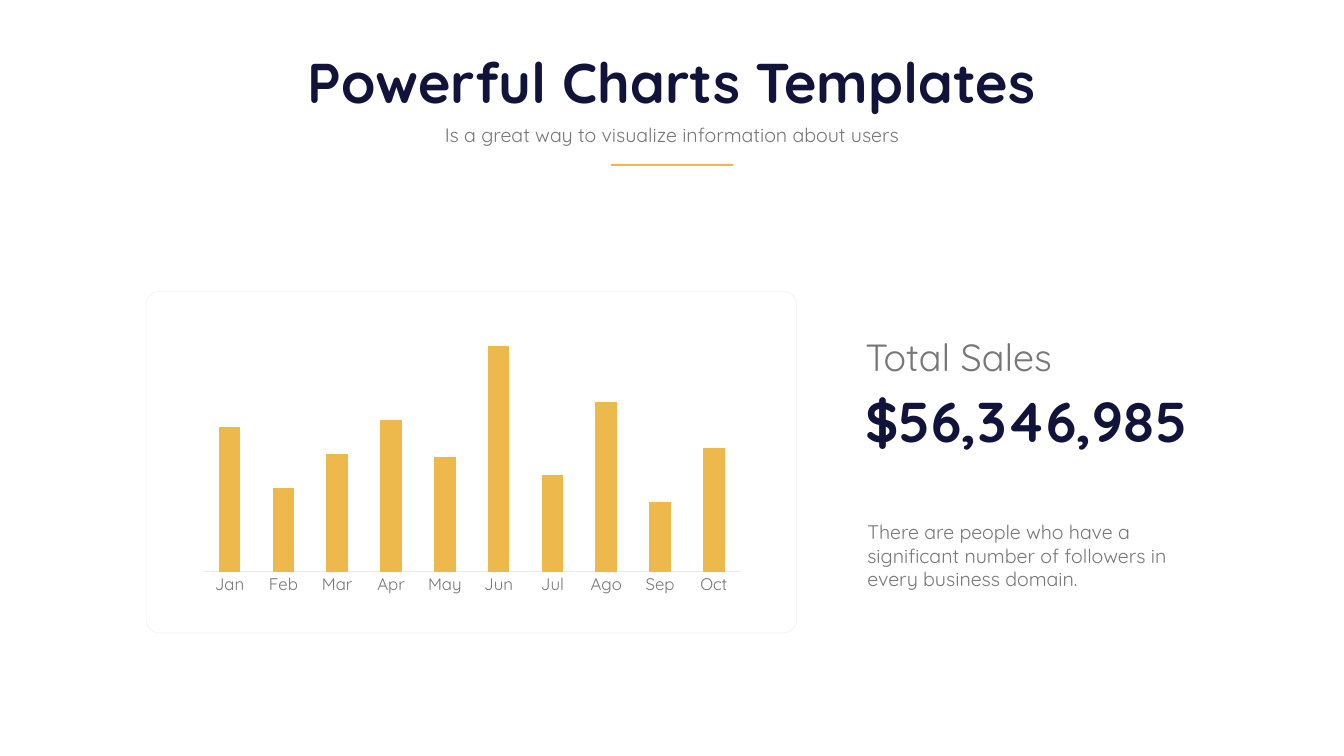
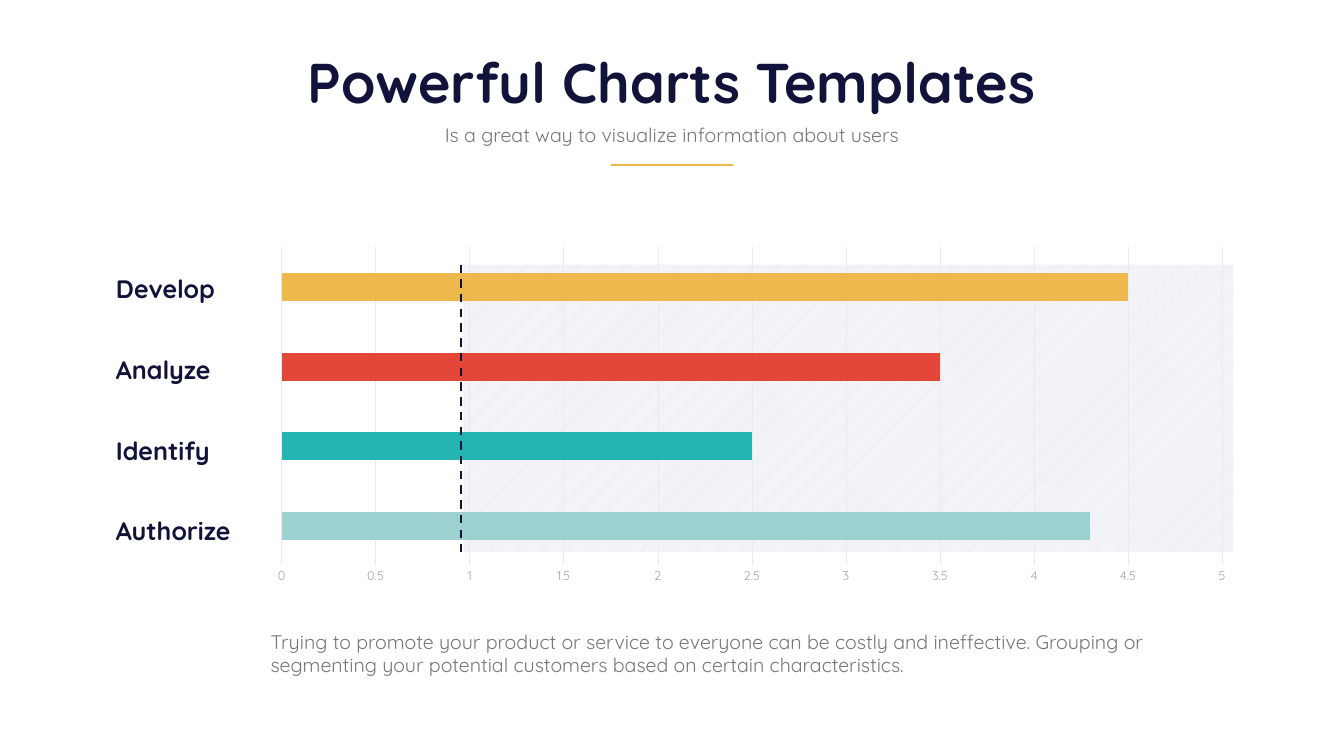
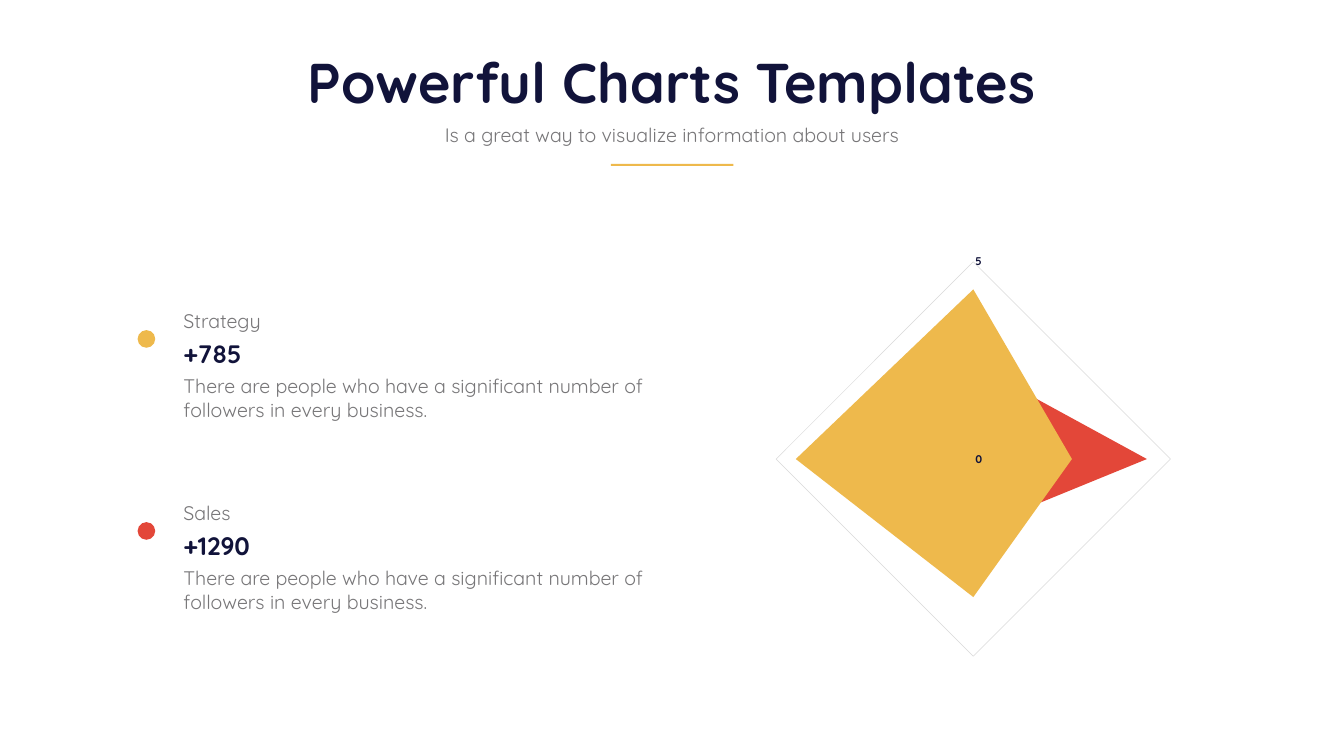
from lxml.etree import SubElement
from pptx import Presentation
from pptx.chart.data import CategoryChartData
from pptx.dml.color import RGBColor
from pptx.enum.chart import XL_CHART_TYPE, XL_TICK_MARK
from pptx.enum.dml import MSO_LINE, MSO_PATTERN
from pptx.enum.shapes import MSO_CONNECTOR, MSO_SHAPE
from pptx.enum.text import MSO_ANCHOR, MSO_AUTO_SIZE, PP_ALIGN
from pptx.oxml.ns import qn
from pptx.util import Inches, Pt

FONT = "Quicksand"
NAVY, GREY, PALE_GREY = "11133A", "777678", "A7A6A7"
GOLD, RED, TEAL, MINT = "EEB94C", "E34739", "24B5B2", "9CD1D0"
WHITE, CARD_EDGE, GRID_LINE, RING = "FFFFFF", "F0F1FA", "EBEAEB", "D9D9D9"
COLUMNS, ROWS = 80, 45


def rgb(hex_colour):
    return RGBColor.from_string(hex_colour)


def style_font(font, size, colour, bold=False):
    font.name, font.size, font.bold = FONT, Pt(size), bold
    font.color.rgb = rgb(colour)


def style_line(line, colour, width):
    line.color.rgb, line.width = rgb(colour), Pt(width)


def style_axis(axis, size, colour, bold=False):
    axis.major_tick_mark = axis.minor_tick_mark = XL_TICK_MARK.NONE
    style_font(axis.tick_labels.font, size, colour, bold)


def style_value_scale(axis, top, step, grid_colour):
    """Fix the scale, hide the axis line and draw thin gridlines."""
    axis.minimum_scale, axis.maximum_scale, axis.major_unit = 0, top, step
    axis.format.line.fill.background()
    style_line(axis.major_gridlines.format.line, grid_colour, 0.75)


def place_plot(chart, x, y, w, h):
    """Fix the inner plot area, in shares of the chart's size."""
    plot_area = chart.element.find(".//" + qn("c:plotArea"))
    for automatic in plot_area.findall(qn("c:layout")):
        plot_area.remove(automatic)
    layout = SubElement(plot_area, qn("c:layout"))
    plot_area.insert(0, layout)
    manual = SubElement(layout, qn("c:manualLayout"))
    settings = {"layoutTarget": "inner", "xMode": "edge", "yMode": "edge",
                "x": x, "y": y, "w": w, "h": h}
    for tag, value in settings.items():
        SubElement(manual, qn("c:" + tag)).set("val", str(value))


class Deck:
    """Holds the shared style and the current slide; boxes are (column, row, columns, rows)."""

    def __init__(self):
        self.presentation = Presentation()
        self.presentation.slide_width = Inches(26.67)
        self.presentation.slide_height = Inches(15)
        self.column = self.presentation.slide_width / COLUMNS
        self.row = self.presentation.slide_height / ROWS
        self.slide = None

    def span(self, box):
        units = (self.column, self.row, self.column, self.row)
        return [round(length * unit) for length, unit in zip(box, units)]

    def new_slide(self):
        self.slide = self.presentation.slides.add_slide(self.presentation.slide_layouts[5])
        title = self.slide.shapes.title
        title.left, title.top, title.width, title.height = self.span((11.64, 2.7, 56.7, 4.35))
        self.set_text(title.text_frame, "Powerful Charts Templates", 80, NAVY, True,
                      PP_ALIGN.CENTER)
        self.text((25.65, 7.14, 28.68, 1.71), "Is a great way to visualize information about users",
                  align=PP_ALIGN.CENTER)
        self.shape(MSO_SHAPE.RECTANGLE, (36.36, 9.75, 7.29, 0.12), GOLD)

    def set_text(self, frame, words, size, colour, bold, align):
        frame.word_wrap = True
        frame.auto_size = MSO_AUTO_SIZE.SHAPE_TO_FIT_TEXT
        frame.vertical_anchor = MSO_ANCHOR.TOP
        paragraph = frame.paragraphs[0]
        paragraph.alignment = align
        run = paragraph.add_run()
        run.text = words
        style_font(run.font, size, colour, bold)

    def text(self, box, words, size=28, colour=GREY, bold=False, align=PP_ALIGN.LEFT):
        frame = self.slide.shapes.add_textbox(*self.span(box)).text_frame
        self.set_text(frame, words, size, colour, bold, align)
        return frame

    def headline(self, box, words, size, colour, bold=False):
        """Text centred vertically with narrow insets."""
        frame = self.text(box, words, size, colour, bold)
        frame.vertical_anchor = MSO_ANCHOR.MIDDLE
        frame.margin_left = frame.margin_right = Inches(0.06)
        frame.margin_top = frame.margin_bottom = Inches(0.06)

    def shape(self, preset, box, colour):
        shape = self.slide.shapes.add_shape(preset, *self.span(box))
        shape.shadow.inherit = False
        shape.fill.solid()
        shape.fill.fore_color.rgb = rgb(colour)
        shape.line.fill.background()
        return shape

    def dashed_line(self, column, top, bottom):
        x, start, _, length = self.span((column, top, 0, bottom - top))
        line = self.slide.shapes.add_connector(MSO_CONNECTOR.STRAIGHT, x, start, x, start + length)
        style_line(line.line, NAVY, 3)
        line.line.dash_style = MSO_LINE.DASH
        SubElement(line.element.spPr, qn("a:effectLst"))

    def chart(self, kind, box, categories, series, size):
        """Add a chart whose series are (values, colour) pairs."""
        data = CategoryChartData()
        data.categories = categories
        for number, (values, _) in enumerate(series, 1):
            data.add_series(f"Series {number}", values)
        chart = self.slide.shapes.add_chart(kind, *self.span(box), data).chart
        chart.has_legend = chart.has_title = False
        style_font(chart.font, size, GREY)
        plot = chart.plots[0]
        plot.vary_by_categories = False
        for drawn, (_, colour) in zip(plot.series, series):
            drawn.format.fill.solid()
            drawn.format.fill.fore_color.rgb = rgb(colour)
        return chart


def build_total_sales(deck):
    deck.new_slide()
    card = deck.shape(MSO_SHAPE.ROUNDED_RECTANGLE, (8.7, 17.34, 38.73, 20.34), WHITE)
    card.adjustments[0] = 0.04
    style_line(card.line, CARD_EDGE, 1)

    months = ["Jan", "Feb", "Mar", "Apr", "May", "Jun", "Jul", "Ago", "Sep", "Oct"]
    sales = [64, 37, 52, 67, 51, 100, 43, 75, 31, 55]
    chart = deck.chart(XL_CHART_TYPE.COLUMN_STACKED, (11.4, 17.55, 33.36, 18.21),
                       months, [(sales, GOLD)], 20)
    chart.plots[0].gap_width, chart.plots[0].overlap = 150, 100
    style_axis(chart.category_axis, 24, GREY)
    style_line(chart.category_axis.format.line, GRID_LINE, 0.75)
    chart.value_axis.minimum_scale, chart.value_axis.maximum_scale = 0, 120
    chart.value_axis.has_major_gridlines = chart.value_axis.visible = False

    deck.headline((51.33, 19.71, 14.22, 3.06), "Total Sales", 54, GREY)
    deck.headline((51.33, 22.8, 19.95, 4.38), "$56,346,985", 80, NAVY, True)
    deck.text((51.33, 30.81, 19.95, 4.53),
              "There are people who have a significant number of followers in every business domain.")


def build_stages(deck):
    deck.new_slide()
    zone_top, zone_height = 15.75, 17.1
    zone = deck.shape(MSO_SHAPE.RECTANGLE, (27.6, zone_top, 45.81, zone_height), WHITE)
    zone.fill.patterned()
    zone.fill.pattern = MSO_PATTERN.WIDE_UPWARD_DIAGONAL
    zone.fill.fore_color.rgb, zone.fill.back_color.rgb = rgb(RING), rgb("F6F7FC")

    chart = deck.chart(XL_CHART_TYPE.BAR_CLUSTERED, (15.36, 14.31, 58.77, 20.82),
                       ["1", "2", "3", "4"], [([4.3, 2.5, 3.5, 4.5], GOLD)], 18)
    plot = chart.plots[0]
    plot.gap_width = 182
    for index, colour in enumerate((MINT, TEAL, RED)):
        fill = plot.series[0].points[index].format.fill
        fill.solid()
        fill.fore_color.rgb = rgb(colour)
    chart.category_axis.visible = False
    style_axis(chart.value_axis, 18, PALE_GREY)
    style_value_scale(chart.value_axis, 5, 0.5, GRID_LINE)

    deck.dashed_line(27.45, zone_top, zone_top + zone_height)
    for index, stage in enumerate(("Develop", "Analyze", "Identify", "Authorize")):
        deck.text((6.6, 16.14 + 4.8 * index, 10.26, 1.68), stage, 36, NAVY, True)
    deck.text((15.81, 37.32, 57.6, 3.12),
              "Trying to promote your product or service to everyone can be costly and ineffective. "
              "Grouping or segmenting your potential customers based on certain characteristics.")


def build_comparison(deck):
    deck.new_slide()
    chart = deck.chart(XL_CHART_TYPE.RADAR_FILLED, (35.97, 13.65, 43.5, 27.63),
                       ["1", "2", "3", "4"],
                       [([4.3, 2.5, 3.5, 4.5], GOLD), ([2.4, 4.4, 1.8, 2.8], RED)], 11)
    place_plot(chart, 0.2, 0.07, 0.61, 0.85)
    chart.category_axis.visible = False
    style_line(chart.category_axis.major_gridlines.format.line, GRID_LINE, 0.75)
    style_axis(chart.value_axis, 16, NAVY, True)
    style_value_scale(chart.value_axis, 5, 5, RING)

    legend = [("Strategy", "+785", GOLD), ("Sales", "+1290", RED)]
    for index, (topic, change, colour) in enumerate(legend):
        top = 18.24 + 11.43 * index
        deck.shape(MSO_SHAPE.OVAL, (8.19, top + 1.41, 1.05, 1.05), colour)
        deck.text((10.62, top, 10.53, 1.71), topic)
        deck.text((10.62, top + 1.74, 10.53, 2.13), change, 36, NAVY, True)
        deck.text((10.62, top + 3.87, 29.37, 3.12),
                  "There are people who have a significant number of followers in every business.")


def main():
    deck = Deck()
    build_total_sales(deck)
    build_stages(deck)
    build_comparison(deck)
    deck.presentation.save("out.pptx")


if __name__ == "__main__":
    main()
